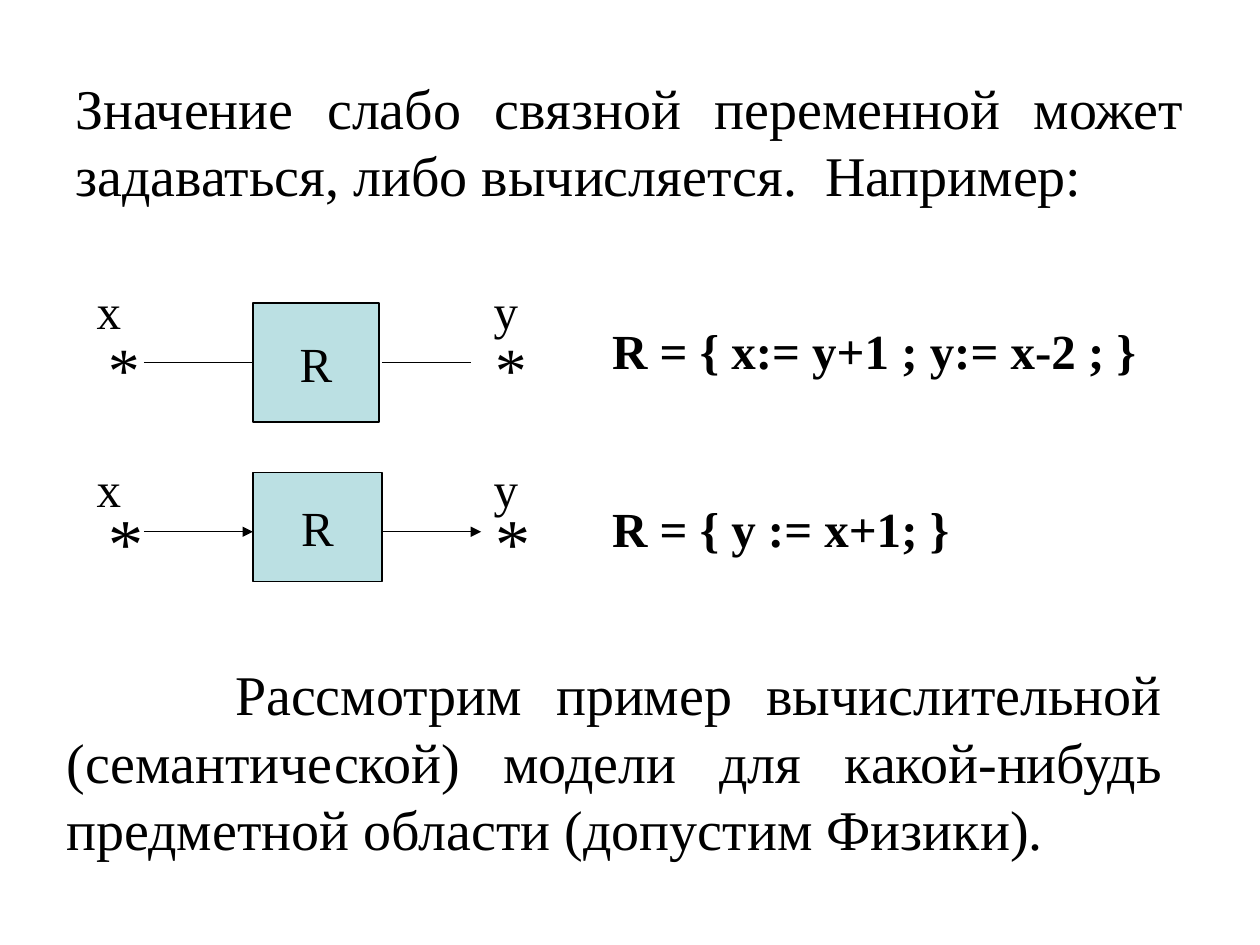
from dataclasses import dataclass

from lxml.etree import SubElement
from pptx import Presentation
from pptx.dml.color import RGBColor
from pptx.enum.shapes import MSO_CONNECTOR as Connector, MSO_SHAPE as Preset
from pptx.enum.text import MSO_ANCHOR as Anchor, MSO_AUTO_SIZE as AutoSize, PP_ALIGN as Align
from pptx.oxml.ns import qn
from pptx.util import Cm, Pt


@dataclass(frozen=True)
class Theme:
    font: str = "Times New Roman"
    ink: RGBColor = RGBColor(0x00, 0x00, 0x00)
    block: RGBColor = RGBColor(0xBB, 0xE0, 0xE3)
    body: int = 32
    label: int = 28
    line: float = 0.75


@dataclass(frozen=True)
class Box:
    left: float
    top: float
    width: float
    height: float

    def inner(self, left, top, width, height):
        return Box(self.left + left, self.top + top, width, height)

    def lengths(self):
        return Cm(self.left), Cm(self.top), Cm(self.width), Cm(self.height)


@dataclass(frozen=True)
class Relation:
    formula: str
    block: Box
    label_top: float
    star_size: int
    right_end: float
    directed: bool


THEME = Theme()


def write(paragraph, text, size, bold=False):
    run = paragraph.add_run()
    run.text = text
    run.font.name = THEME.font
    run.font.size = Pt(size)
    run.font.bold = bold
    run.font.color.rgb = THEME.ink


def add_text(slide, box, text, size, bold=False, wrap=True):
    shape = slide.shapes.add_textbox(*box.lengths())
    frame = shape.text_frame
    frame.word_wrap = wrap
    frame.auto_size = AutoSize.SHAPE_TO_FIT_TEXT
    write(frame.paragraphs[0], text, size, bold)
    return frame.paragraphs[0]


def add_body_text(slide, box, text, indent=0):
    paragraph = add_text(slide, box, text, THEME.body)
    paragraph.alignment = Align.JUSTIFY
    if indent:
        paragraph._p.get_or_add_pPr().set("indent", str(Cm(indent)))


def add_block(slide, box):
    shape = slide.shapes.add_shape(Preset.RECTANGLE, *box.lengths())
    shape.shadow.inherit = False
    shape.fill.solid()
    shape.fill.fore_color.rgb = THEME.block
    shape.line.color.rgb = THEME.ink
    shape.line.width = Pt(THEME.line)
    frame = shape.text_frame
    frame.word_wrap = False
    frame.vertical_anchor = Anchor.MIDDLE
    frame.paragraphs[0].alignment = Align.CENTER
    write(frame.paragraphs[0], "R", THEME.label)


def add_link(slide, start, end, y, directed):
    connector = slide.shapes.add_connector(Connector.STRAIGHT, Cm(start), Cm(y), Cm(end), Cm(y))
    connector.line.color.rgb = THEME.ink
    connector.line.width = Pt(THEME.line)
    if directed:
        SubElement(connector.line._get_or_add_ln(), qn("a:tailEnd"), type="triangle")
    SubElement(connector._element.spPr, qn("a:effectLst"))


def add_relation(slide, box, relation):
    add_block(slide, box.inner(3.4, relation.block.top, relation.block.width, relation.block.height))
    link_y = box.top + 1.77
    for start, end in ((1.2, 3.4), (6, relation.right_end)):
        add_link(slide, box.left + start, box.left + end, link_y, relation.directed)
    for name, left, star_left in (("x", 0, 0.23), ("y", 8, 8.03)):
        add_text(slide, box.inner(left, relation.label_top, 1, 1.45), name, THEME.label, wrap=False)
        add_text(slide, box.inner(star_left, 0.98, 0.9, 2.1), "*", relation.star_size, wrap=False)
    formula_box = box.inner(10.39, relation.label_top + 0.8, 11.2, 1.45)
    add_text(slide, formula_box, relation.formula, THEME.label, bold=True)


def main():
    presentation = Presentation()
    presentation.slide_width, presentation.slide_height = Cm(25.4), Cm(19.05)
    slide = presentation.slides.add_slide(presentation.slide_layouts[6])

    add_body_text(
        slide,
        Box(1.27, 1.35, 22.86, 2.95),
        "Значение слабо связной переменной может задаваться, либо вычисляется.  Например:",
    )
    relations = (
        Relation("R = { x:= y+1 ; y:= x-2 ; }", Box(3.4, 0.57, 2.54, 2.4), 0, 36, 7.8, False),
        Relation("R = { y := x+1; }", Box(3.4, 0.57, 2.6, 2.2), 0.17, 40, 8, True),
    )
    for row, relation in enumerate(relations):
        add_relation(slide, Box(1.7, 5.54 + row * 3.41, 21.6, 3.2), relation)
    add_body_text(
        slide,
        Box(1.09, 13.18, 22.61, 4.32),
        "Рассмотрим пример вычислительной (семантической) модели для какой-нибудь "
        "предметной области (допустим Физики).",
        indent=3.4,
    )
    presentation.save("out.pptx")


if __name__ == "__main__":
    main()
